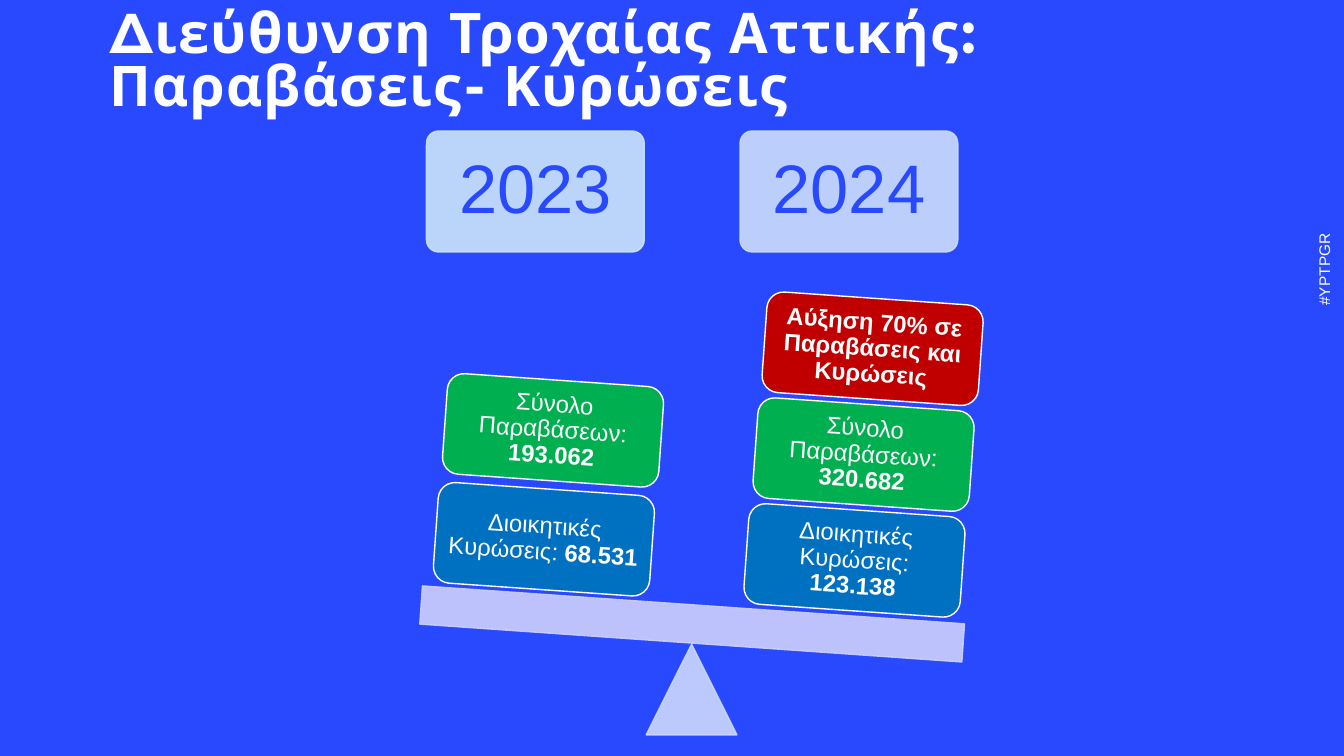
"""Build a slide comparing Attica traffic violations and penalties on a tilted scale."""
from lxml import etree
from pptx import Presentation
from pptx import util as u
from pptx.dml.color import RGBColor
from pptx.enum import shapes, text
from pptx.oxml import ns

BLUE = RGBColor(0x28, 0x49, 0xFD)
WHITE = RGBColor(0xFF, 0xFF, 0xFF)
PENALTY = RGBColor(0x00, 0x70, 0xC0)
VIOLATION = RGBColor(0x00, 0xB0, 0x50)
INCREASE = RGBColor(0xC0, 0x00, 0x00)
PALE_2023 = RGBColor(0xCC, 0xE4, 0xF9)
PALE_2024 = RGBColor(0xCD, 0xDD, 0xFB)
PALE_PIVOT = RGBColor(0xCD, 0xD7, 0xFD)
PALE_BEAM = RGBColor(0xCE, 0xD0, 0xFE)

WIDTH, HEIGHT = 13.33, 7.5
TILT = 4
BLOCK_WIDTH, BLOCK_HEIGHT = 2.15, 1
YEAR_WIDTH, YEAR_HEIGHT = 2.16, 1.2
KIND = shapes.MSO_SHAPE


def place(box, left, top, width, height):
    """Set the position and size of a box in inches."""
    box.left, box.top = u.Inches(left), u.Inches(top)
    box.width, box.height = u.Inches(width), u.Inches(height)


def set_frame(frame, inset, anchor):
    """Wrap a text frame and give it equal insets."""
    frame.word_wrap = True
    frame.auto_size = text.MSO_AUTO_SIZE.NONE
    frame.vertical_anchor = anchor
    frame.margin_left = frame.margin_right = u.Inches(inset)
    frame.margin_top = frame.margin_bottom = u.Inches(inset)


def add_span(para, words, size, color=WHITE, bold=False, font="Arial"):
    """Append one formatted run to a paragraph."""
    span = para.add_run()
    span.text = words
    span.font.size, span.font.bold, span.font.name = u.Pt(size), bold, font
    span.font.color.rgb = color
    return span


def add_panel(slide, kind, area, fill, line, opacity=100, tilt=0):
    """Add a filled, outlined shape without a shadow."""
    panel = slide.shapes.add_shape(kind, *map(u.Inches, area))
    panel.shadow.inherit = False
    panel.rotation = tilt
    panel.fill.solid()
    panel.fill.fore_color.rgb = fill
    panel.line.color.rgb = line
    panel.line.width = u.Pt(1)
    if opacity < 100:
        for color in panel.element.spPr.iter(ns.qn("a:srgbClr")):
            etree.SubElement(color, ns.qn("a:alpha"), val=str(opacity * 1000))
    return panel


def fill_text(panel, inset, spans, size, color=WHITE):
    """Write centred text made of (words, bold) spans in a panel."""
    set_frame(panel.text_frame, inset, text.MSO_ANCHOR.MIDDLE)
    para = panel.text_frame.paragraphs[0]
    para.alignment = text.PP_ALIGN.CENTER
    para.line_spacing = 0.9
    for words, bold in spans:
        add_span(para, words, size, color, bold)


def add_year(slide, left, year, fill):
    """Add a pale heading panel for one year."""
    area = (left, 1.3, YEAR_WIDTH, YEAR_HEIGHT)
    panel = add_panel(slide, KIND.ROUNDED_RECTANGLE, area, fill, fill, 90)
    panel.adjustments[0] = 0.1
    fill_text(panel, 0.2, [(year, False)], 49, BLUE)


def add_stack(slide, left, top, rise, blocks):
    """Pile tilted blocks upwards from the beam."""
    for level, (fill, spans) in enumerate(blocks):
        area = (left + 0.09 * level, top - rise * level, BLOCK_WIDTH, BLOCK_HEIGHT)
        panel = add_panel(slide, KIND.ROUNDED_RECTANGLE, area, fill, WHITE, tilt=TILT)
        fill_text(panel, 0.07, spans, 17)


def totals(penalties, violations):
    """Return the two blocks that both years share."""
    return [(PENALTY, [("Διοικητικές Κυρώσεις: ", False), (penalties, True)]),
            (VIOLATION, [("Σύνολο Παραβάσεων: ", False), (violations, True)])]


def add_title(slide, words):
    """Format the title placeholder."""
    title = slide.shapes.title
    place(title, 1.09, 0.1, 11.53, 1.2)
    set_frame(title.text_frame, 0, text.MSO_ANCHOR.TOP)
    para = title.text_frame.paragraphs[0]
    para.alignment = text.PP_ALIGN.LEFT
    para.line_spacing = 0.8
    span = add_span(para, words, 40, bold=True, font="Montserrat")
    span.font._element.set("spc", "100")


def add_hashtag(slide, words):
    """Add the vertical hashtag at the right edge."""
    box = slide.shapes.add_textbox(0, 0, 0, 0)
    place(box, 12.43, 2.28, 1.41, 0.29)
    box.rotation = 270
    box.text_frame.word_wrap = True
    add_span(box.text_frame.paragraphs[0], words, 11)


def main():
    """Build and save the deck."""
    deck = Presentation()
    deck.slide_width, deck.slide_height = u.Inches(WIDTH), u.Inches(HEIGHT)
    slide = deck.slides.add_slide(deck.slide_layouts.get_by_name("Title Only"))
    slide.background.fill.solid()
    slide.background.fill.fore_color.rgb = BLUE
    add_title(slide, "Διεύθυνση Τροχαίας Αττικής: Παραβάσεις- Κυρώσεις")
    add_year(slide, 4.23, "2023", PALE_2023)
    add_year(slide, 7.34, "2024", PALE_2024)
    add_panel(slide, KIND.ISOSCELES_TRIANGLE, (6.41, 6.39, 0.9, 0.9),
              PALE_PIVOT, PALE_PIVOT, 90)
    add_panel(slide, KIND.RECTANGLE, (4.17, 6, 5.39, 0.38),
              PALE_BEAM, PALE_BEAM, 90, TILT)
    increase = (INCREASE, [("Αύξηση 70% σε Παραβάσεις και Κυρώσεις", True)])
    add_stack(slide, 4.32, 4.85, 1.08, totals("68.531", "193.062"))
    add_stack(slide, 7.4, 5.06, 1.05, totals("123.138", "320.682") + [increase])
    add_hashtag(slide, "#YPTPGR")
    deck.save("out.pptx")


if __name__ == "__main__":
    main()
